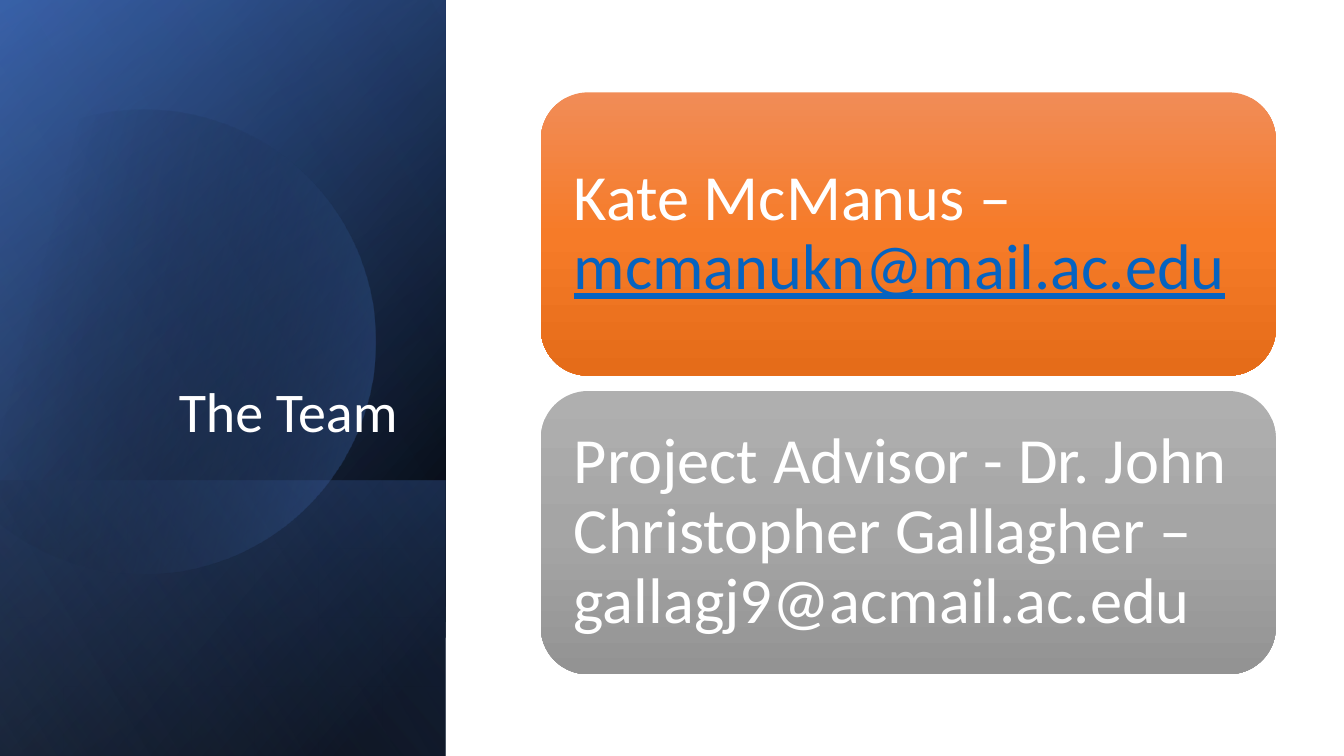
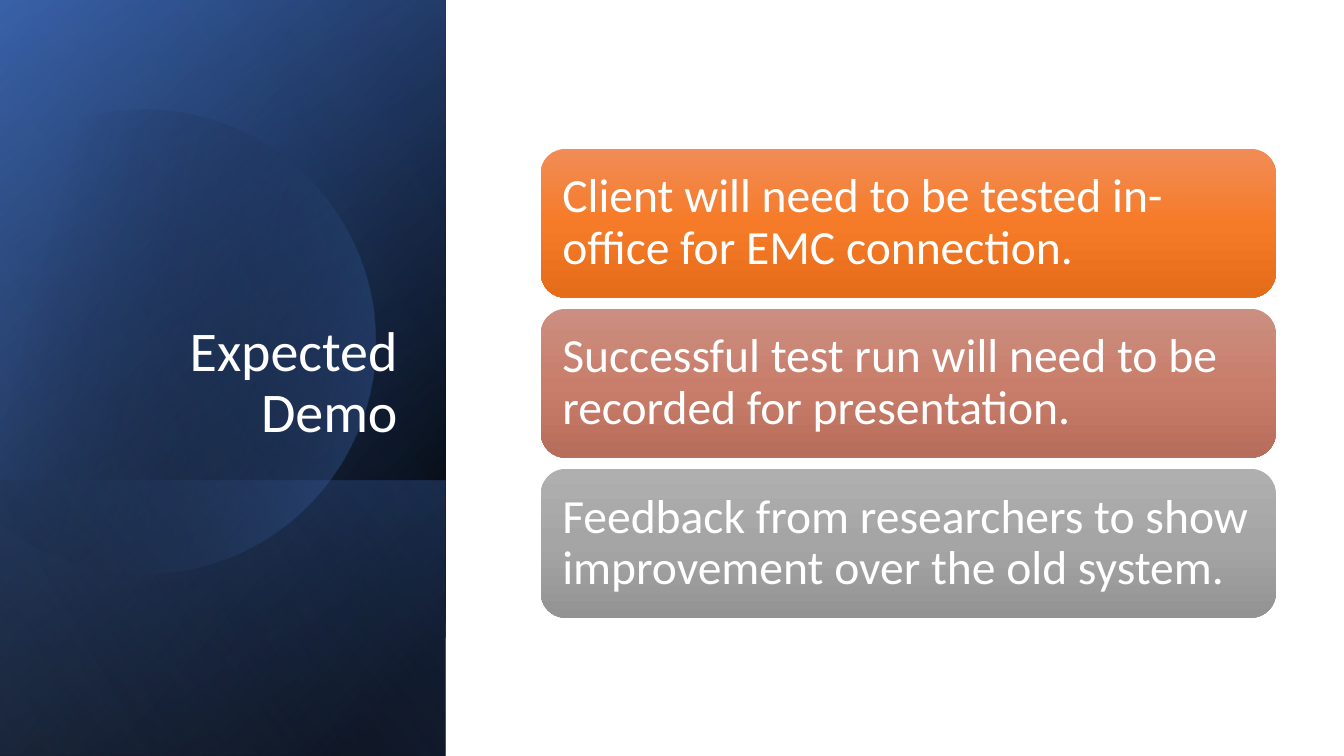
"""Builds two slides with a dark gradient title panel and rounded gradient cards."""
from dataclasses import dataclass
from math import acos, degrees
from typing import Any, NamedTuple

from lxml.etree import SubElement
from pptx import Presentation
from pptx.dml.color import RGBColor
from pptx.enum.shapes import MSO_SHAPE as Preset
from pptx.enum.text import MSO_ANCHOR as Anchor, PP_ALIGN as Align
from pptx.oxml.ns import qn
from pptx.util import Pt


class Stop(NamedTuple):
    position: int
    color: str
    opacity: int = 100


class Gradient(NamedTuple):
    stops: tuple[Stop, ...]
    angle: int


class Box(NamedTuple):
    left: float
    top: float
    width: float
    height: float


class Band(NamedTuple):
    box: Box
    gradient: Gradient


class Words(NamedTuple):
    text: str
    is_email: bool = False


class Card(NamedTuple):
    gradient: Gradient
    words: tuple[Words, ...]


@dataclass(frozen=True)
class CardSlide:
    title: str
    cards: tuple[Card, ...]
    card_height: float
    gap: float
    inset: float
    text_size: int


def card_gradient(light: str, middle: str, dark: str) -> Gradient:
    """Return a vertical gradient of three colours."""
    return Gradient((Stop(0, light), Stop(50, middle), Stop(100, dark)), 90)


@dataclass(frozen=True)
class Theme:
    font: str = "Calibri"
    white: str = "FFFFFF"
    email: str = "0563C1"
    title_size: int = 40
    line_spacing: float = 0.9
    orange: Gradient = card_gradient("F18C57", "F67B28", "E56C19")
    rose: Gradient = card_gradient("CB8F81", "C97E6B", "B76D5B")
    gray: Gradient = card_gradient("AFAFAF", "A5A5A5", "939393")
    panel: Gradient = Gradient((Stop(8, "000000"), Stop(100, "2F5597")), 220)
    glow: Gradient = Gradient((Stop(0, "000000", 0), Stop(99, "4472C4", 46)), 240)
    floor: Gradient = Gradient((Stop(2, "4472C4", 29), Stop(100, "000000", 30)), 140)
    disc: Gradient = Gradient((Stop(29, "000000", 0), Stop(100, "4472C4", 43)), 14)
    haze: Gradient = Gradient((Stop(0, "000000", 0), Stop(99, "8FAADC", 11)), 150)


THEME = Theme()
SLIDE_WIDTH, SLIDE_HEIGHT = 960, 540
PANEL = Box(0, 0, 318.3, SLIDE_HEIGHT)
FLOOR = Box(0, 343, PANEL.width, SLIDE_HEIGHT - 343)
TITLE = Box(46, 132.5, 245, 188.6)
DISC_X, DISC_Y, DISC_RADIUS = 103, 244, 165.5
CARD_LEFT, CARD_WIDTH, CARDS_MIDDLE = 386.3, 525, 273.8
BACK_BANDS = (Band(PANEL, THEME.panel), Band(PANEL, THEME.glow), Band(FLOOR, THEME.floor))

SLIDES = (
    CardSlide(
        "The Team",
        (
            Card(THEME.orange, (Words("Kate McManus – "), Words("mcmanukn@mail.ac.edu", True))),
            Card(THEME.gray, (Words("Project Advisor - Dr. John Christopher Gallagher – gallagj9@acmail.ac.edu"),)),
        ),
        card_height=202.3, gap=11, inset=13.7, text_size=46,
    ),
    CardSlide(
        "Expected Demo",
        (
            Card(THEME.orange, (Words("Client will need to be tested in-office for EMC connection."),)),
            Card(THEME.rose, (Words("Successful test run will need to be recorded for presentation."),)),
            Card(THEME.gray, (Words("Feedback from researchers to show improvement over the old system."),)),
        ),
        card_height=106.3, gap=8, inset=10.2, text_size=34,
    ),
)


def apply_format(target: Any, values: dict[str, Any]) -> None:
    """Set every named attribute on the target."""
    for name, value in values.items():
        setattr(target, name, value)


def in_points(box: Box) -> tuple[Pt, ...]:
    """Convert a box to lengths."""
    return tuple(Pt(length) for length in box)


def paint(shape: Any, gradient: Gradient) -> None:
    """Give a shape a gradient fill with no line or shadow."""
    shape.shadow.inherit = False
    shape.line.fill.background()
    shape.fill.gradient()
    shape.fill.gradient_angle = 360 - gradient.angle
    stop_list = shape._element.spPr.find(qn("a:gradFill")).find(qn("a:gsLst"))
    for old_stop in list(stop_list):
        stop_list.remove(old_stop)
    for stop in gradient.stops:
        element = SubElement(stop_list, qn("a:gs"), pos=str(stop.position * 1000))
        color = SubElement(element, qn("a:srgbClr"), val=stop.color)
        if stop.opacity < 100:
            SubElement(color, qn("a:alpha"), val=str(stop.opacity * 1000))


def write(shape: Any, words: tuple[Words, ...], size: int, inset: tuple[float, float],
          anchor: Anchor, alignment: Align) -> None:
    """Write one paragraph of words into a shape."""
    across, down = (Pt(length) for length in inset)
    apply_format(shape.text_frame, {
        "word_wrap": True, "vertical_anchor": anchor,
        "margin_left": across, "margin_right": across,
        "margin_top": down, "margin_bottom": down,
    })
    paragraph = shape.text_frame.paragraphs[0]
    apply_format(paragraph, {"alignment": alignment, "line_spacing": THEME.line_spacing})
    for part in words:
        run = paragraph.add_run()
        run.text = part.text
        apply_format(run.font, {"name": THEME.font, "size": Pt(size), "underline": part.is_email or None})
        run.font.color.rgb = RGBColor.from_string(THEME.email if part.is_email else THEME.white)


def draw_band(slide: Any, band: Band) -> None:
    """Draw one gradient rectangle of the panel."""
    paint(slide.shapes.add_shape(Preset.RECTANGLE, *in_points(band.box)), band.gradient)


def draw_disc(slide: Any) -> None:
    """Draw the disc as a chord cut along the left slide edge."""
    box = Box(DISC_X - DISC_RADIUS, DISC_Y - DISC_RADIUS, 2 * DISC_RADIUS, 2 * DISC_RADIUS)
    disc = slide.shapes.add_shape(Preset.CHORD, *in_points(box))
    cut = degrees(acos(-DISC_X / DISC_RADIUS))
    for index, angle in enumerate((360 - cut, cut)):
        disc.adjustments[index] = angle * 0.6
    paint(disc, THEME.disc)


def draw_panel(slide: Any, title: str) -> None:
    """Draw the layered panel and its title."""
    for band in BACK_BANDS:
        draw_band(slide, band)
    draw_disc(slide)
    draw_band(slide, Band(PANEL, THEME.haze))
    title_box = slide.shapes.add_textbox(*in_points(TITLE))
    write(title_box, (Words(title),), THEME.title_size, (7.2, 3.6), Anchor.BOTTOM, Align.RIGHT)


def draw_cards(slide: Any, content: CardSlide) -> None:
    """Stack the cards around their common middle."""
    pitch = content.card_height + content.gap
    first_top = CARDS_MIDDLE - (len(content.cards) * pitch - content.gap) / 2
    for index, card in enumerate(content.cards):
        box = Box(CARD_LEFT, first_top + index * pitch, CARD_WIDTH, content.card_height)
        shape = slide.shapes.add_shape(Preset.ROUNDED_RECTANGLE, *in_points(box))
        paint(shape, card.gradient)
        write(shape, card.words, content.text_size, (content.inset, content.inset), Anchor.MIDDLE, Align.LEFT)


def main() -> None:
    """Build and save the presentation."""
    presentation = Presentation()
    apply_format(presentation, {"slide_width": Pt(SLIDE_WIDTH), "slide_height": Pt(SLIDE_HEIGHT)})
    blank_layout = presentation.slide_layouts[6]
    for content in SLIDES:
        slide = presentation.slides.add_slide(blank_layout)
        draw_panel(slide, content.title)
        draw_cards(slide, content)
    presentation.save("out.pptx")


if __name__ == "__main__":
    main()
